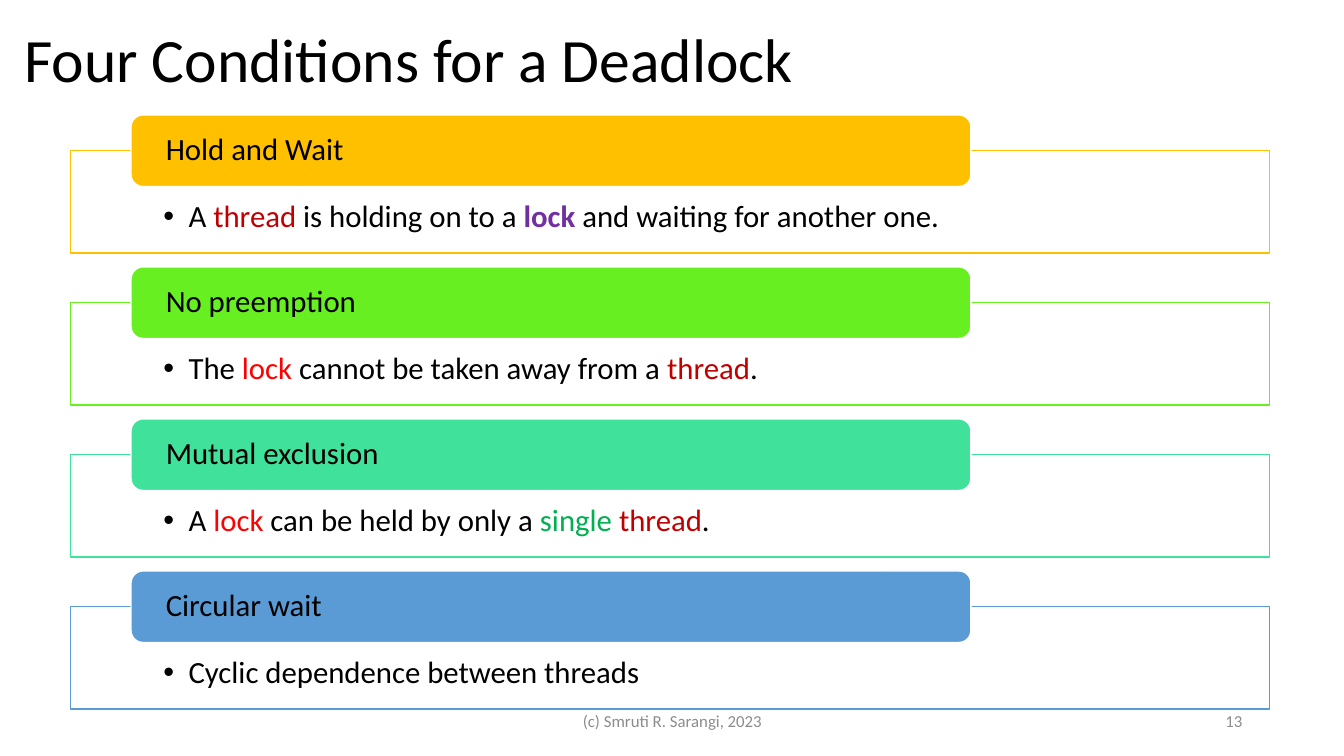
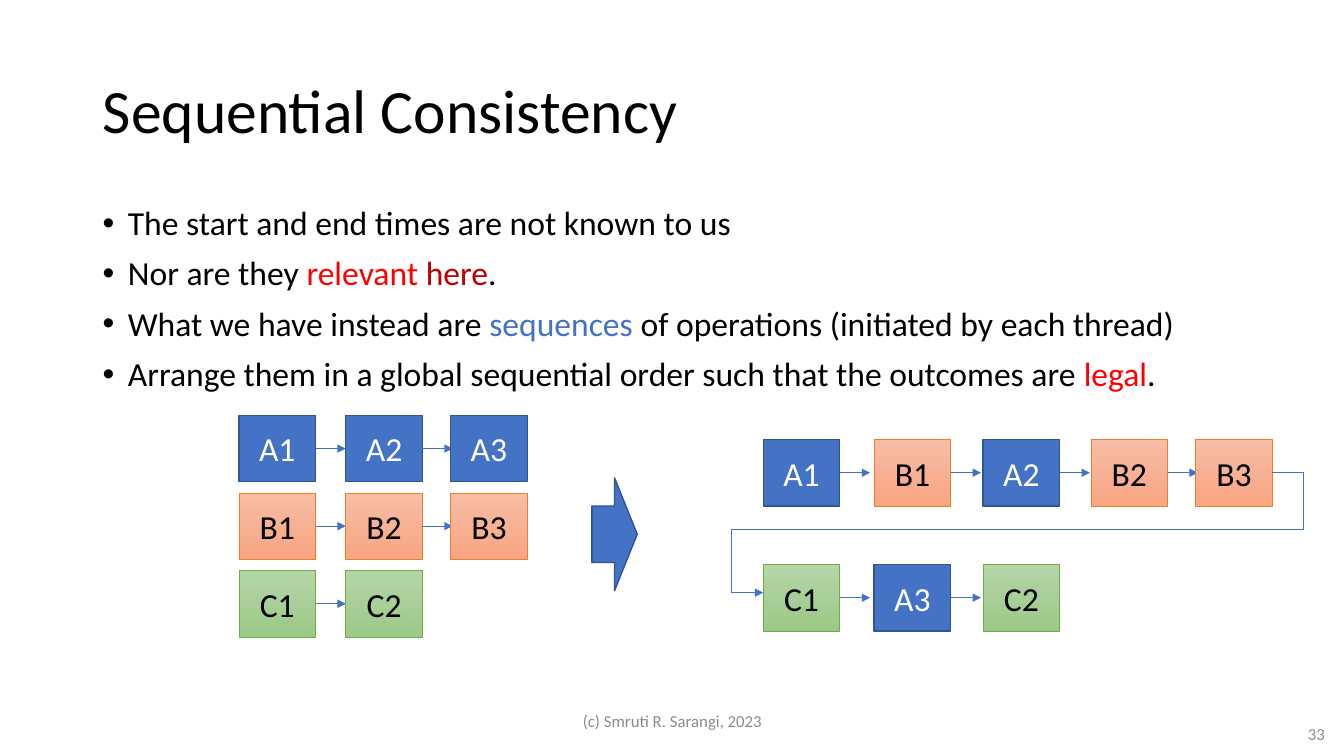
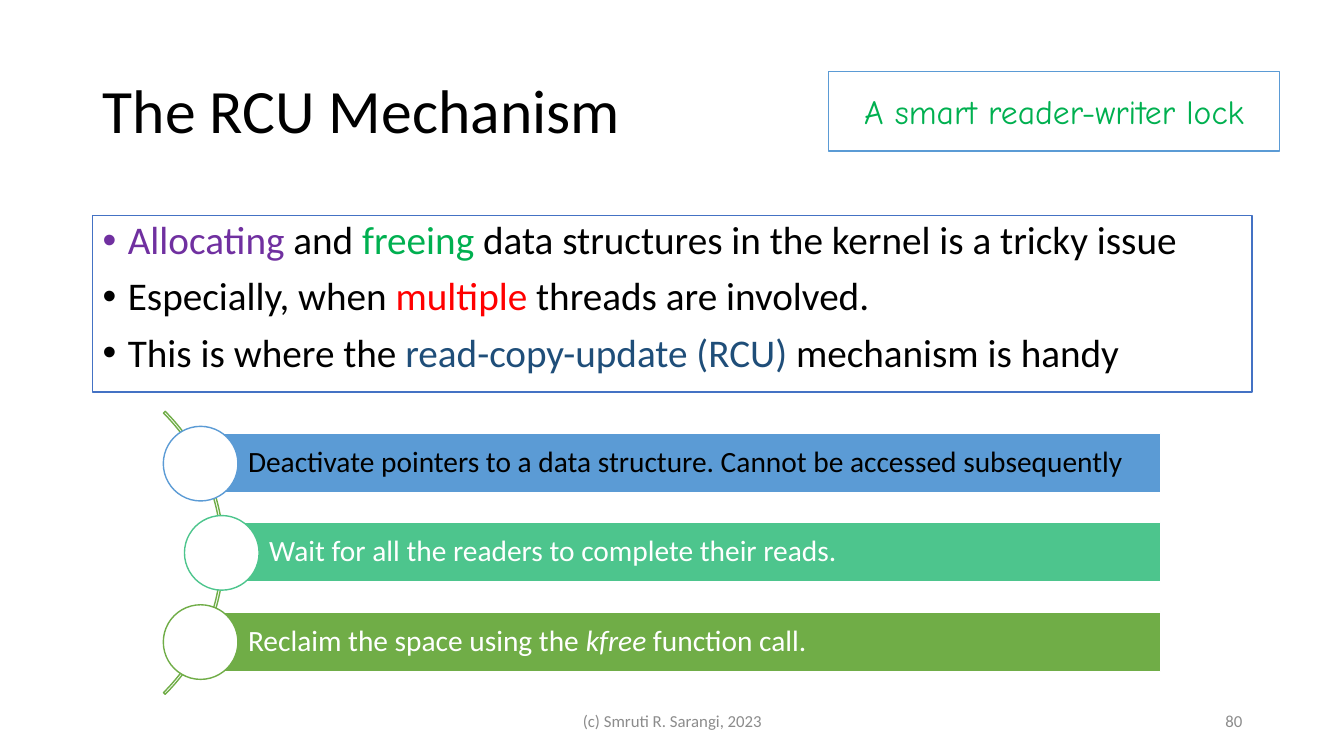
from dataclasses import dataclass
from itertools import pairwise
from typing import NamedTuple

from lxml.etree import SubElement
from pptx import Presentation
from pptx.dml.color import RGBColor
from pptx.enum.shapes import MSO_CONNECTOR, MSO_SHAPE
from pptx.enum.text import MSO_ANCHOR, MSO_AUTO_SIZE, PP_ALIGN
from pptx.oxml.ns import qn
from pptx.util import Inches, Pt

BLACK = RGBColor(0x00, 0x00, 0x00)
WHITE = RGBColor(0xFF, 0xFF, 0xFF)
GREY = RGBColor(0x8C, 0x8C, 0x8C)
RED = RGBColor(0xFF, 0x00, 0x00)
CRIMSON = RGBColor(0xC0, 0x00, 0x00)
PURPLE = RGBColor(0x70, 0x30, 0xA0)
GREEN = RGBColor(0x00, 0xB0, 0x50)
NAVY = RGBColor(0x1F, 0x4E, 0x79)
BLUE = RGBColor(0x44, 0x72, 0xC4)
EDGE = RGBColor(0x32, 0x54, 0x91)
SKY = RGBColor(0x5B, 0x9B, 0xD5)
GOLD = RGBColor(0xFF, 0xC0, 0x00)
LIME = RGBColor(0x67, 0xEF, 0x21)
MINT = RGBColor(0x3F, 0xE1, 0x9B)
TEAL = RGBColor(0x4D, 0xC5, 0x8D)
LEAF = RGBColor(0x70, 0xAD, 0x47)
ORANGE = RGBColor(0xED, 0x7D, 0x31)
PEACH = (RGBColor(0xF7, 0xBD, 0xA5), RGBColor(0xF8, 0xA5, 0x82))
SAGE = (RGBColor(0xB5, 0xD5, 0xA7), RGBColor(0x9C, 0xC9, 0x87))

FONT = "Calibri"
FOOTER = "(c) Smruti R. Sarangi, 2023"
PADS = (0.1, 0.05, 0.1, 0.05)


class Run(NamedTuple):
    text: str
    hue: RGBColor | None = None
    bold: bool = False
    italic: bool = False


class Box(NamedTuple):
    left: float
    top: float
    width: float
    height: float

    def place(self) -> tuple:
        return tuple(Inches(side) for side in self)


@dataclass
class Rule:
    head: str
    hue: RGBColor
    body: list


@dataclass
class Style:
    fill: RGBColor | tuple
    line: RGBColor
    weight: float
    text: RGBColor


@dataclass
class Chain:
    names: str
    lefts: tuple
    top: float


@dataclass
class Step:
    left: float
    hue: RGBColor
    text: RGBColor
    body: list


def write(frame, *paras, size=24, hue=BLACK, face=FONT, align=PP_ALIGN.LEFT,
          anchor=MSO_ANCHOR.MIDDLE, pads=PADS, spacing=1.0, gap=0, bullet=False) -> None:
    """Fill a text frame; each paragraph is a list of strings and Runs."""
    frame.word_wrap = True
    frame.auto_size = MSO_AUTO_SIZE.NONE
    frame.vertical_anchor = anchor
    (frame.margin_left, frame.margin_top,
     frame.margin_right, frame.margin_bottom) = map(Inches, pads)
    for index, parts in enumerate(paras):
        para = frame.add_paragraph() if index else frame.paragraphs[0]
        if bullet:
            props = para._p.get_or_add_pPr()
            props.set("marL", str(Inches(0.25)))
            props.set("indent", str(Inches(-0.25)))
            SubElement(props, qn("a:buFont"), typeface="Arial")
            SubElement(props, qn("a:buChar"), char="•")
        para.alignment = align
        para.line_spacing = spacing
        para.space_before = Pt(gap if index else 0)
        for part in parts:
            part = Run(part) if isinstance(part, str) else part
            run = para.add_run()
            run.text = part.text
            font = run.font
            font.name, font.size = face, Pt(size)
            font.bold, font.italic = part.bold, part.italic
            font.color.rgb = hue if part.hue is None else part.hue


def draw(slide, kind, box: Box, fill, line: RGBColor, weight: float = 1):
    """Add a preset shape; a pair of colours as fill makes a gradient downwards."""
    shape = slide.shapes.add_shape(kind, *box.place())
    shape.shadow.inherit = False
    if fill is None:
        shape.fill.background()
    elif isinstance(fill, RGBColor):
        shape.fill.solid()
        shape.fill.fore_color.rgb = fill
    else:
        shape.fill.gradient()
        shape.fill.gradient_angle = 270
        for stop, shade in zip(shape.fill.gradient_stops, fill):
            stop.color.rgb = shade
    shape.line.color.rgb = line
    shape.line.width = Pt(weight)
    return shape


def link(slide, start: tuple, end: tuple, arrow: bool = True) -> None:
    line = slide.shapes.add_connector(MSO_CONNECTOR.STRAIGHT, *map(Inches, start + end))
    line.line.color.rgb = BLUE
    line.line.width = Pt(0.5)
    props = line.element.spPr
    if arrow:
        SubElement(props.find(qn("a:ln")), qn("a:tailEnd"), type="triangle")
    SubElement(props, qn("a:effectLst"))


def label(slide, box: Box, *paras, **form) -> None:
    write(slide.shapes.add_textbox(*box.place()).text_frame, *paras, **form)


def start(deck, title: str, number: int, spot: Box = Box(0.92, 0.4, 11.5, 1.45),
          corner: tuple = (9.42, 6.95)):
    """Add a slide with its title, footer and page number."""
    slide = deck.slides.add_slide(deck.slide_layouts[5])
    head = slide.shapes.title
    head.left, head.top, head.width, head.height = spot.place()
    write(head.text_frame, [title], size=44, spacing=0.9)
    label(slide, Box(4.42, 6.95, 4.5, 0.4), [FOOTER], size=12, hue=GREY,
          align=PP_ALIGN.CENTER)
    label(slide, Box(*corner, 3, 0.4), [str(number)], size=12, hue=GREY,
          align=PP_ALIGN.RIGHT)
    return slide


RULES = [
    Rule("Hold and Wait", GOLD,
         ["A ", Run("thread", CRIMSON), " is holding on to a ",
          Run("lock", PURPLE, bold=True), " and waiting for another one."]),
    Rule("No preemption", LIME,
         ["The ", Run("lock", RED), " cannot be taken away from a ",
          Run("thread", CRIMSON), "."]),
    Rule("Mutual exclusion", MINT,
         ["A ", Run("lock", RED), " can be held by only a ",
          Run("single ", GREEN), Run("thread", CRIMSON), "."]),
    Rule("Circular wait", SKY, ["Cyclic dependence between threads"]),
]

STYLES = {
    "A": Style(BLUE, EDGE, 1, WHITE),
    "B": Style(PEACH, ORANGE, 0.5, BLACK),
    "C": Style(SAGE, LEAF, 0.5, BLACK),
}
THREADS = (2.37, 3.43, 4.47)
ORDER = (7.57, 8.67, 9.75, 10.82, 11.86)
CHAINS = [
    Chain("A1 A2 A3", THREADS, 4.12),
    Chain("B1 B2 B3", THREADS, 4.89),
    Chain("C1 C2", THREADS, 5.66),
    Chain("A1 B1 A2 B2 B3", ORDER, 4.36),
    Chain("C1 A3 C2", ORDER, 5.6),
]
RETURN = [(12.62, 4.69), (12.93, 4.69), (12.93, 5.25), (7.25, 5.25),
          (7.25, 5.88), (7.57, 5.88)]

STEPS = [
    Step(1.62, SKY, BLACK,
         ["Deactivate pointers to a data structure. Cannot be accessed subsequently"]),
    Step(1.83, TEAL, WHITE, ["Wait for all the readers to complete their reads."]),
    Step(1.62, LEAF, WHITE,
         ["Reclaim the space using the ", Run("kfree", italic=True), " function call."]),
]


def deadlock(deck) -> None:
    slide = start(deck, "Four Conditions for a Deadlock", 13, Box(0.14, -0.1, 11.5, 1.45))
    for index, rule in enumerate(RULES):
        top = 1.14 + 1.508 * index
        frame = draw(slide, MSO_SHAPE.RECTANGLE, Box(0.7, top + 0.35, 11.89, 1.02),
                     WHITE, rule.hue)
        write(frame.text_frame, rule.body, size=22, anchor=MSO_ANCHOR.TOP,
              pads=(0.92, 0.5, 0.92, 0.17), spacing=0.9, bullet=True)
        bar = draw(slide, MSO_SHAPE.ROUNDED_RECTANGLE, Box(1.3, top, 8.33, 0.71),
                   rule.hue, WHITE)
        write(bar.text_frame, [rule.head], size=22, pads=(0.31, 0, 0.31, 0), spacing=0.9)


def chain(slide, row: Chain) -> None:
    """Draw a row of blocks, each but the last with an arrow to the next."""
    width, height = 0.76, 0.66
    names = row.names.split()
    for index, (name, left) in enumerate(zip(names, row.lefts)):
        style = STYLES[name[0]]
        block = draw(slide, MSO_SHAPE.RECTANGLE, Box(left, row.top, width, height),
                     style.fill, style.line, style.weight)
        write(block.text_frame, [name], hue=style.text, align=PP_ALIGN.CENTER)
        if index < len(names) - 1:
            edge, middle = left + width, row.top + height / 2
            link(slide, (edge, middle), (edge + 0.3, middle))


def order(deck) -> None:
    slide = start(deck, "Sequential Consistency", 33, corner=(10.24, 7.08))
    label(slide, Box(0.92, 2, 11.5, 2.12),
          ["The start and end times are not known to us"],
          ["Nor are they ", Run("relevant ", RED), Run("here", CRIMSON), "."],
          ["What we have instead are ", Run("sequences", BLUE),
           " of operations (initiated by each thread)"],
          ["Arrange them in a global sequential order such that the outcomes are ",
           Run("legal", RED), "."],
          anchor=MSO_ANCHOR.TOP, spacing=0.9, gap=10, bullet=True)
    for row in CHAINS:
        chain(slide, row)
    for here, there in pairwise(RETURN):
        link(slide, here, there, arrow=there == RETURN[-1])
    draw(slide, MSO_SHAPE.RIGHT_ARROW, Box(5.87, 4.74, 0.45, 1.12), BLUE, EDGE)


def update(deck) -> None:
    slide = start(deck, "The RCU Mechanism", 80)
    points = draw(slide, MSO_SHAPE.RECTANGLE, Box(0.92, 2.14, 11.5, 1.75), WHITE, BLUE)
    write(points.text_frame,
          [Run("Allocating", PURPLE), " and ", Run("freeing", GREEN),
           " data structures in the kernel is a tricky issue"],
          ["Especially, when ", Run("multiple", RED), " threads are involved."],
          ["This is where the ", Run("read-copy-update (RCU) ", NAVY),
           "mechanism is handy"],
          size=28, anchor=MSO_ANCHOR.TOP, spacing=0.9, gap=10, bullet=True)

    arc = draw(slide, MSO_SHAPE.BLOCK_ARC, Box(-1.75, 3.5, 3.97, 3.97), None, LEAF)
    for index, value in enumerate((189, 27, 0.006)):
        arc.adjustments[index] = value

    size, right = 0.74, 11.51
    for index, step in enumerate(STEPS):
        top = 4.23 + 0.885 * index
        left = step.left + size / 2
        bar = draw(slide, MSO_SHAPE.RECTANGLE, Box(left, top + 0.07, right - left, 0.59),
                   step.hue, WHITE)
        write(bar.text_frame, step.body, size=21, hue=step.text,
              pads=(0.47, 0.06, 0.06, 0.06), spacing=0.9)
        draw(slide, MSO_SHAPE.OVAL, Box(step.left, top, size, size), WHITE, step.hue)

    note = draw(slide, MSO_SHAPE.RECTANGLE, Box(8.22, 0.71, 4.47, 0.79), WHITE, SKY)
    write(note.text_frame, ["A smart reader-writer lock"], hue=GREEN,
          face="Comic Neue", align=PP_ALIGN.CENTER)


def main() -> None:
    deck = Presentation()
    deck.slide_width, deck.slide_height = Inches(13.33), Inches(7.5)
    deadlock(deck)
    order(deck)
    update(deck)
    deck.save("out.pptx")


if __name__ == "__main__":
    main()
